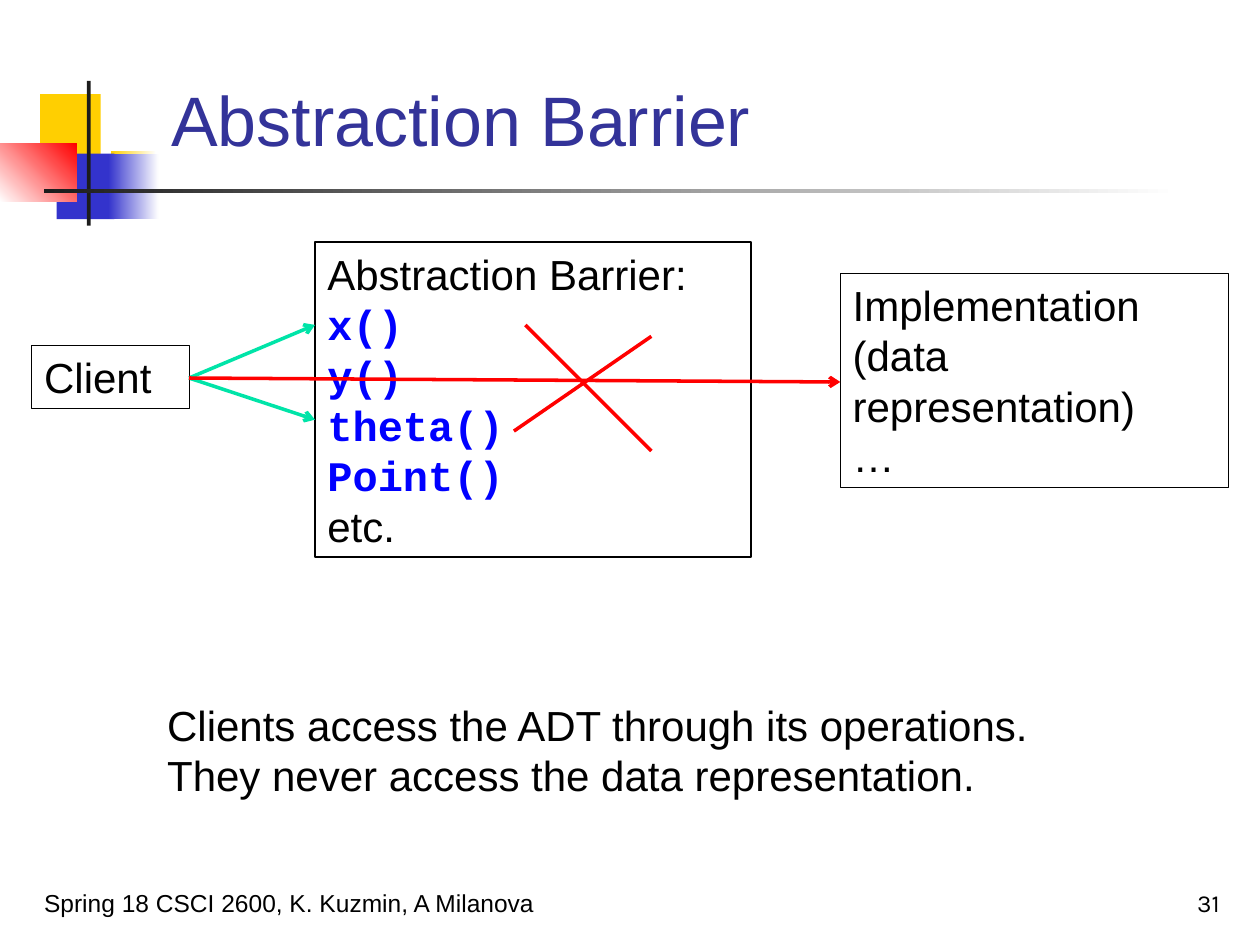
from lxml import etree
from pptx import Presentation
from pptx.dml.color import RGBColor
from pptx.enum.shapes import MSO_CONNECTOR, MSO_SHAPE
from pptx.enum.text import MSO_ANCHOR as Anchor, PP_ALIGN as Align
from pptx.oxml.ns import qn
from pptx.util import Cm, Pt

BLACK = RGBColor(0x00, 0x00, 0x00)
WHITE = RGBColor(0xFF, 0xFF, 0xFF)
CHARCOAL = RGBColor(0x1C, 0x1C, 0x1C)
YELLOW = RGBColor(0xFF, 0xCF, 0x01)
INDIGO = RGBColor(0x33, 0x33, 0xCC)
RED = RGBColor(0xFF, 0x00, 0x00)
GREEN = RGBColor(0x00, 0xE4, 0xA8)
TITLE_BLUE = RGBColor(0x33, 0x33, 0x99)
CODE_BLUE = RGBColor(0x00, 0x00, 0xFF)


def add_text(paragraph, text, size=24, font="Arial", color=BLACK, bold=False,
             align=Align.LEFT):
    """Fill a paragraph; a newline in the text becomes a line break."""
    paragraph.text = text
    paragraph.alignment = align
    for run in paragraph.runs:
        run.font.size = Pt(size)
        run.font.name = font
        run.font.bold = bold
        run.font.color.rgb = color


class SlideBuilder:
    body_font = "Arial"
    code_style = {"font": "Courier New", "color": CODE_BLUE, "bold": True}
    border_width = Pt(0.75)
    arrow_width = Pt(2)

    def __init__(self, slide):
        self.shapes = slide.shapes

    def block(self, left, top, width, height, *colors, angle=0):
        """Borderless rectangle: one colour is solid, two make a gradient."""
        block = self.shapes.add_shape(
            MSO_SHAPE.RECTANGLE, Cm(left), Cm(top), Cm(width), Cm(height))
        block.shadow.inherit = False
        block.line.fill.background()
        if len(colors) == 1:
            block.fill.solid()
            block.fill.fore_color.rgb = colors[0]
        else:
            block.fill.gradient()
            block.fill.gradient_angle = angle
            for stop, color in zip(block.fill.gradient_stops, colors):
                stop.color.rgb = color

    def fill_text(self, frame, lines, anchor, **style):
        """Each line is a string, or a (string, own style) pair."""
        frame.word_wrap = True
        frame.vertical_anchor = anchor
        for index, line in enumerate(lines):
            text, own = (line, {}) if isinstance(line, str) else line
            paragraph = frame.add_paragraph() if index else frame.paragraphs[0]
            add_text(paragraph, text, **{"font": self.body_font, **style, **own})

    def label(self, left, top, width, height, *lines, anchor=Anchor.TOP, **style):
        label = self.shapes.add_textbox(Cm(left), Cm(top), Cm(width), Cm(height))
        self.fill_text(label.text_frame, lines, anchor, **style)

    def box(self, left, top, width, height, *lines):
        box = self.shapes.add_shape(
            MSO_SHAPE.RECTANGLE, Cm(left), Cm(top), Cm(width), Cm(height))
        box.shadow.inherit = False
        box.fill.background()
        box.line.color.rgb = BLACK
        box.line.width = self.border_width
        self.fill_text(box.text_frame, lines, Anchor.TOP)

    def line(self, start, end, color, arrow=False, group=None):
        shapes = group.shapes if group is not None else self.shapes
        line = shapes.add_connector(
            MSO_CONNECTOR.STRAIGHT, *map(Cm, start), *map(Cm, end))
        line.line.color.rgb = color
        line.line.width = self.arrow_width
        properties = line._element.spPr
        if arrow:
            etree.SubElement(properties.find(qn("a:ln")), qn("a:tailEnd"), type="arrow")
        etree.SubElement(properties, qn("a:effectLst"))

    def cross(self, strokes, color):
        group = self.shapes.add_group_shape()
        for start, end in strokes:
            self.line(start, end, color, group=group)


def main():
    deck = Presentation()
    deck.slide_width, deck.slide_height = Cm(25.4), Cm(19.05)
    page = SlideBuilder(deck.slides.add_slide(deck.slide_layouts[6]))

    # Corner decoration and title rule
    page.block(0.81, 1.9, 1.22, 1.32, YELLOW)
    page.block(2.24, 3.05, 0.91, 1.32, YELLOW, WHITE)
    page.block(1.14, 3.1, 1.17, 1.32, INDIGO)
    page.block(2.18, 3.1, 1.02, 1.32, INDIGO, WHITE)
    page.block(0, 2.9, 1.55, 1.17, WHITE, RED, angle=45)
    page.block(1.75, 1.63, 0.08, 2.92, CHARCOAL)
    page.block(0.89, 3.81, 22.86, 0.08, CHARCOAL, WHITE)

    # Title and footer
    page.label(3.2, 0.58, 21.64, 2.79, "Abstraction Barrier",
               anchor=Anchor.BOTTOM, size=40, color=TITLE_BLUE)
    page.label(0.64, 17.35, 13.13, 1.27, "Spring 18 CSCI 2600, K. Kuzmin, A Milanova",
               anchor=Anchor.BOTTOM, size=14)
    page.label(19.56, 17.35, 5.28, 1.27, "31",
               anchor=Anchor.BOTTOM, size=14, font="Karla", align=Align.RIGHT)

    # Client, barrier and implementation
    operations = [(name, page.code_style) for name in ("x()", "y()", "theta()", "Point()")]
    page.box(0.64, 6.96, 3.18, 1.27, "Client")
    page.box(6.35, 4.88, 8.79, 6.35, "Abstraction Barrier:", *operations, "etc.")
    page.box(16.94, 5.51, 7.82, 4.32, "Implementation\n(data representation)", "…")

    # Allowed access in green, forbidden access in red and crossed out
    client_edge = (3.81, 7.62)
    for target, color in (((6.35, 6.55), GREEN), ((6.35, 8.46), GREEN),
                          ((16.94, 7.7), RED)):
        page.line(client_edge, target, color, arrow=True)
    page.cross([((10.59, 6.55), (13.13, 9.09)), ((13.13, 6.78), (10.36, 8.69))], RED)

    # Conclusion
    page.label(3.12, 13.97, 18.16, 2.29,
               "Clients access the ADT through its operations.",
               "They never access the data representation.")

    deck.save("out.pptx")


if __name__ == "__main__":
    main()
